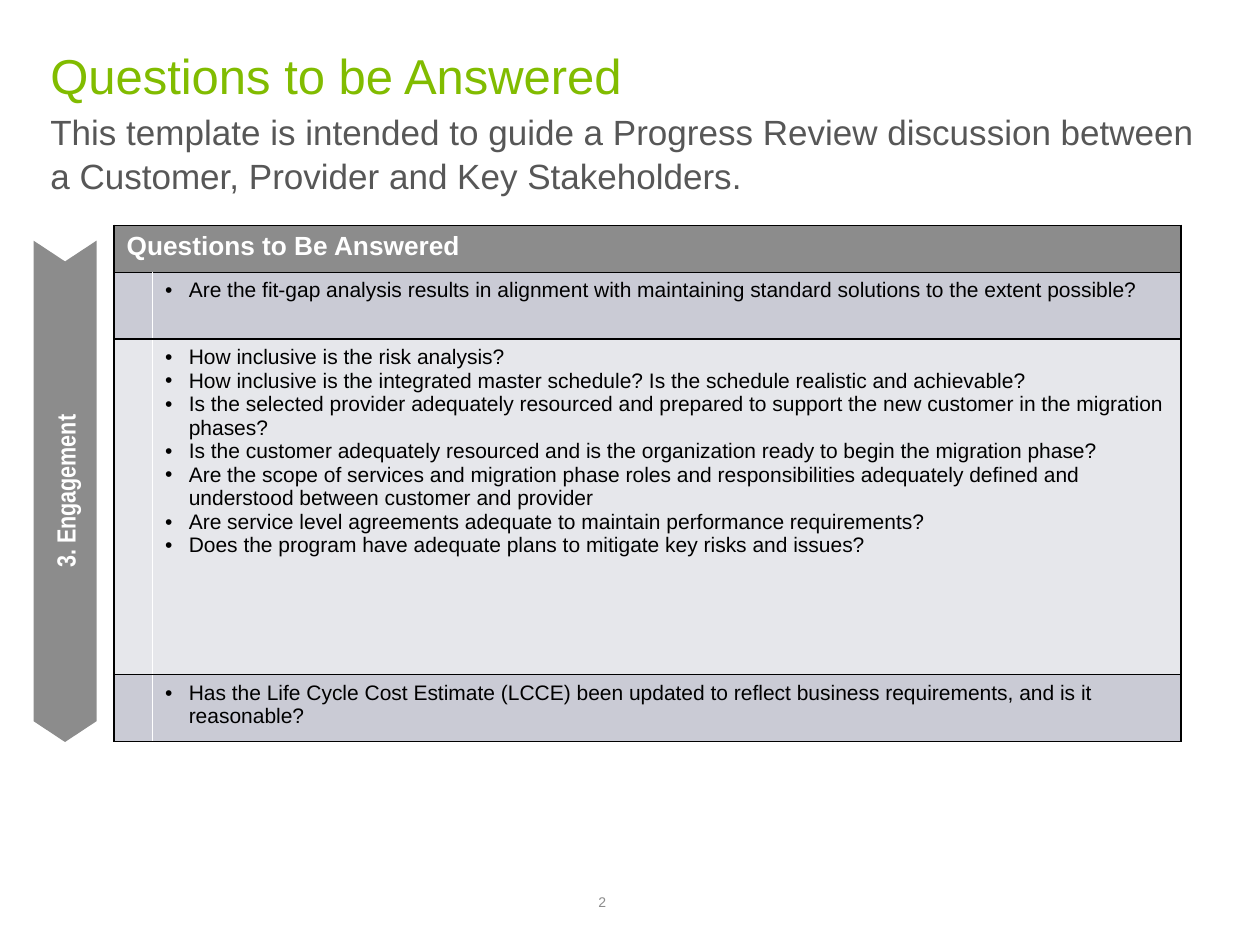
from dataclasses import dataclass

from lxml import etree
from pptx import Presentation
from pptx.dml.color import RGBColor
from pptx.enum.shapes import MSO_SHAPE
from pptx.enum.text import MSO_ANCHOR, PP_ALIGN
from pptx.oxml.ns import qn
from pptx.util import Pt

CHEVRON = MSO_SHAPE.CHEVRON
TOP, MIDDLE, BOTTOM = MSO_ANCHOR.TOP, MSO_ANCHOR.MIDDLE, MSO_ANCHOR.BOTTOM
CENTER = PP_ALIGN.CENTER


@dataclass(frozen=True)
class Theme:
    font: str = "Arial"
    narrow: str = "Arial Narrow"
    green: str = "81BC00"
    text: str = "575757"
    gray: str = "8C8C8C"
    band_dark: str = "CACBD5"
    band_light: str = "E6E7EB"
    black: str = "000000"
    white: str = "FFFFFF"
    title: float = 28
    subtitle: float = 20
    heading: float = 15
    body: float = 12
    small: float = 8


T = Theme()

QUESTIONS = [
    ["Are the fit-gap analysis results in alignment with maintaining standard solutions to the extent possible?"],
    [
        "How inclusive is the risk analysis?",
        "How inclusive is the integrated master schedule? Is the schedule realistic and achievable?",
        "Is the selected provider adequately resourced and prepared to support the new customer in the migration phases?",
        "Is the customer adequately resourced and is the organization ready to begin the migration phase?",
        "Are the scope of services and migration phase roles and responsibilities adequately defined and understood between customer and provider",
        "Are service level agreements adequate to maintain performance requirements?",
        "Does the program have adequate plans to mitigate key risks and issues?",
    ],
    ["Has the Life Cycle Cost Estimate (LCCE) been updated to reflect business requirements, and is it reasonable?"],
]


def style(p, size, color, font=T.font, bold=False):
    for r in p.runs:
        r.font.name = font
        r.font.size = Pt(size)
        r.font.bold = bold
        r.font.color.rgb = RGBColor.from_string(color)


def set_frame(tf, anchor):
    tf.word_wrap = True
    tf.vertical_anchor = anchor
    tf.margin_left = tf.margin_right = tf.margin_top = tf.margin_bottom = 0


def add_text(s, box, text, size, color, anchor=TOP):
    tf = s.shapes.add_textbox(*map(Pt, box)).text_frame
    set_frame(tf, anchor)
    tf.text = text
    p = tf.paragraphs[0]
    style(p, size, color)
    return p


def add_heading(s, box):
    x, y, w, h = box
    title_h = 36.7
    add_text(s, (x, y, w, title_h), "Questions to be Answered", T.title, T.green, BOTTOM)
    body_y = y + title_h + 2.2
    p = add_text(
        s,
        (x, body_y, w, y + h - body_y),
        "This template is intended to guide a Progress Review discussion between a Customer, Provider and Key Stakeholders.",
        T.subtitle,
        T.text,
    )
    p.line_spacing = 1.05


def add_phase_arrow(s, box):
    x, y, w, h = box
    left, top = x + (w - h) / 2, y + (h - w) / 2
    sp = s.shapes.add_shape(CHEVRON, Pt(left), Pt(top), Pt(h), Pt(w))
    sp.adjustments[0] = 0.33
    sp.rotation = 270
    sp._element.spPr.find(qn("a:xfrm")).set("flipH", "1")
    sp.shadow.inherit = False
    sp.fill.solid()
    sp.fill.fore_color.rgb = RGBColor.from_string(T.gray)
    sp.line.fill.background()
    tf = sp.text_frame
    set_frame(tf, MIDDLE)
    tf.text = "3. Engagement"
    p = tf.paragraphs[0]
    p.alignment = CENTER
    style(p, T.heading, T.white, T.narrow, True)


def format_cell(cell, fill, left=T.black, right=T.black):
    tcPr = cell._tc.get_or_add_tcPr()
    edges = {"lnL": left, "lnR": right, "lnT": T.black, "lnB": T.black}
    for tag, color in edges.items():
        ln = etree.SubElement(tcPr, qn(f"a:{tag}"), w=str(Pt(1)))
        solid = etree.SubElement(ln, qn("a:solidFill"))
        etree.SubElement(solid, qn("a:srgbClr"), val=color)
    cell.fill.solid()
    cell.fill.fore_color.rgb = RGBColor.from_string(fill)


def add_bullet(p):
    pPr = p._p.get_or_add_pPr()
    pPr.set("marL", str(Pt(13.5)))
    pPr.set("indent", str(Pt(-13.5)))
    color = etree.SubElement(pPr, qn("a:buClr"))
    etree.SubElement(color, qn("a:srgbClr"), val=T.black)
    etree.SubElement(pPr, qn("a:buFont"), typeface=T.font)
    etree.SubElement(pPr, qn("a:buChar"), char="•")


def add_questions(s, box):
    x, y, w, h = box
    marker_w, header_h, short_h = 22, 26.8, 38.2
    heights = [header_h, short_h, h - header_h - 2 * short_h, short_h]
    table = s.shapes.add_table(len(heights), 2, *map(Pt, box)).table
    for col, width in zip(table.columns, (marker_w, w - marker_w)):
        col.width = Pt(width)
    for row, height in zip(table.rows, heights):
        row.height = Pt(height)

    header = table.cell(0, 0)
    header.merge(table.cell(0, 1))
    header.text_frame.text = "Questions to Be Answered"
    style(header.text_frame.paragraphs[0], T.heading, T.white, bold=True)
    for col in range(2):
        format_cell(table.cell(0, col), T.gray)

    for i, questions in enumerate(QUESTIONS, 1):
        fill = T.band_dark if i % 2 else T.band_light
        format_cell(table.cell(i, 0), fill, right=T.white)
        cell = table.cell(i, 1)
        format_cell(cell, fill, left=T.white)
        cell.text_frame.text = "\n".join(questions)
        for p in cell.text_frame.paragraphs:
            add_bullet(p)
            style(p, T.body, T.black)


def add_page_number(s, box):
    add_text(s, box, "2", T.small, T.gray, BOTTOM)


def main():
    prs = Presentation()
    prs.slide_width, prs.slide_height = Pt(720), Pt(540)
    s = prs.slides.add_slide(prs.slide_layouts[6])
    add_page_number(s, (342, 510.5, 36, 9.4))
    add_heading(s, (28.8, 23, 662.4, 98.7))
    add_phase_arrow(s, (19.2, 137.5, 36, 286.5))
    add_questions(s, (65.2, 128.8, 609.6, 295))
    prs.save("out.pptx")


if __name__ == "__main__":
    main()
